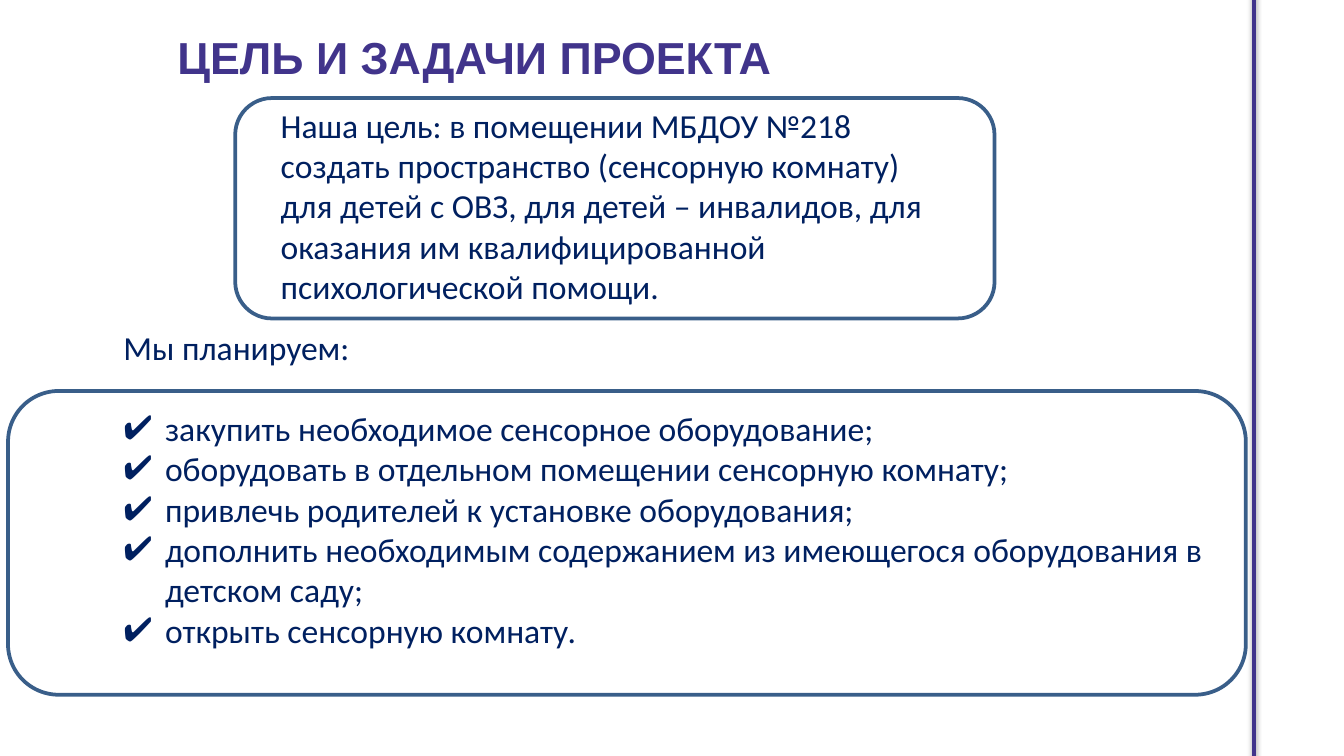
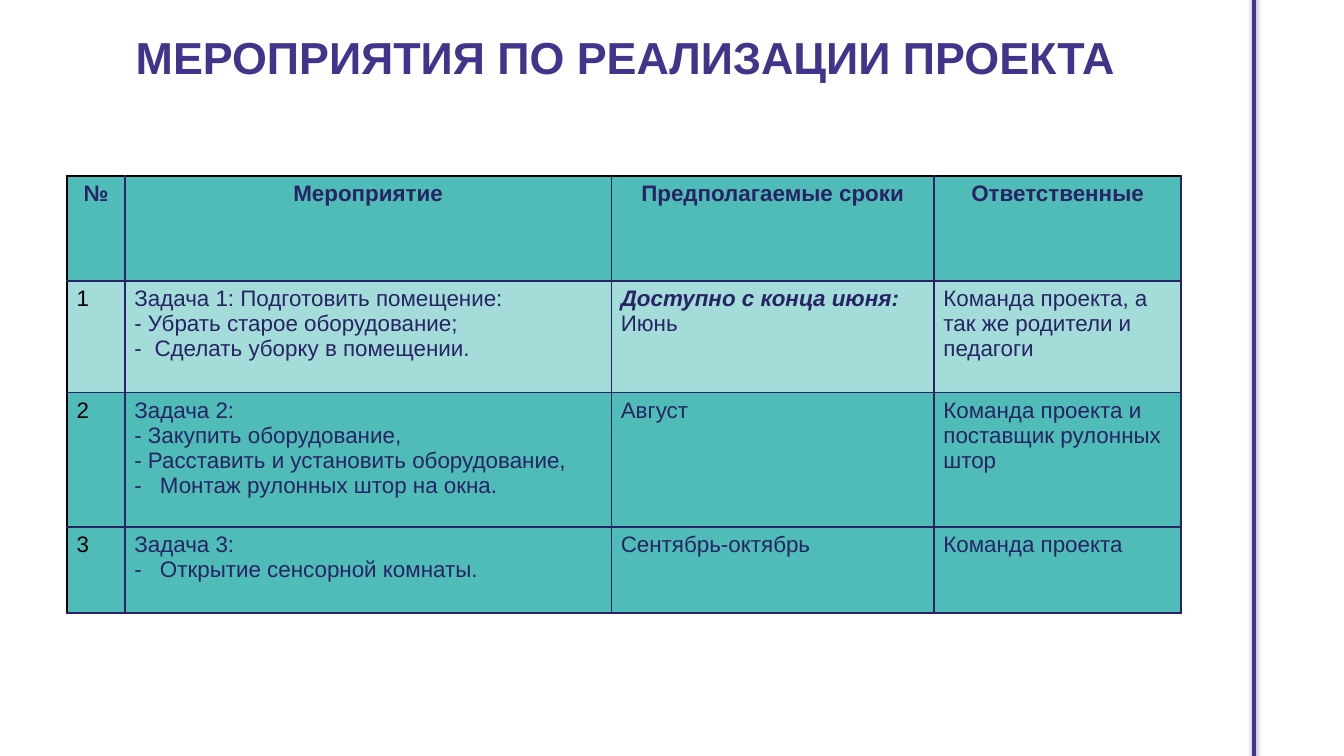
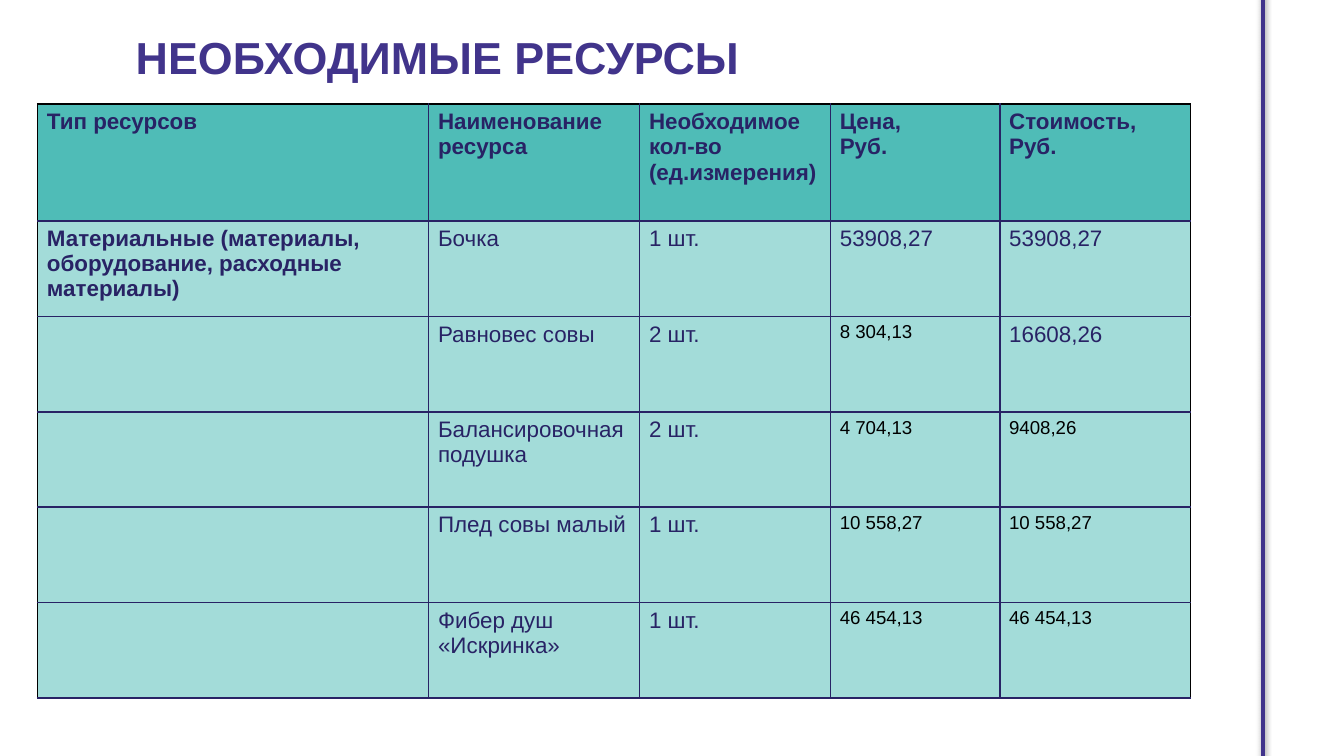
from dataclasses import dataclass

from lxml import etree
from pptx import Presentation
from pptx.dml.color import RGBColor
from pptx.enum.shapes import MSO_CONNECTOR, MSO_SHAPE
from pptx.enum.text import MSO_ANCHOR, MSO_AUTO_SIZE, PP_ALIGN
from pptx.oxml.ns import qn
from pptx.util import Emu, Inches, Pt

STRAIGHT = MSO_CONNECTOR.STRAIGHT
ROUNDED = MSO_SHAPE.ROUNDED_RECTANGLE
TOP = MSO_ANCHOR.TOP
NO_FIT = MSO_AUTO_SIZE.NONE
LEFT, CENTER = PP_ALIGN.LEFT, PP_ALIGN.CENTER

WIDTH, HEIGHT = Inches(10), Inches(5.625)
GRID_COLUMNS = 100
TITLE_ONLY = 5
WHITE, BLACK = "FFFFFF", "000000"
VIOLET, INK, NAVY, FRAME = "41348B", "282365", "002060", "395E89"
TEAL, MINT = "4FBCB7", "A3DCD9"
HEADING_FONT, BODY_FONT = "Arial", "Calibri"


@dataclass(frozen=True)
class Area:
    """A rectangle in grid modules, each a hundredth of the slide's width."""
    left: float
    top: float
    width: float
    height: float

    def emu(self) -> tuple[Emu, ...]:
        """Return the four lengths for python-pptx."""
        return tuple(map(grid, (self.left, self.top, self.width, self.height)))


@dataclass(frozen=True)
class Line:
    """One paragraph with a single text run."""
    text: str
    size: float = 12
    color: str = INK
    bold: bool = False
    italic: bool = False
    font: str = HEADING_FONT
    align: PP_ALIGN = LEFT
    bullet: str = ""
    indent: float = 0
    after: float = 0


@dataclass(frozen=True)
class Grid:
    """A table with its place, track sizes, row fills and cell contents."""
    left: float
    top: float
    columns: tuple[float, ...]
    heights: tuple[float, ...]
    fills: tuple[str, ...]
    rows: list[list[tuple[Line, ...]]]
    right_edge: str


def grid(modules: float) -> Emu:
    """Convert grid modules to a length."""
    return Emu(round(modules * WIDTH / GRID_COLUMNS))


def rgb(value: str) -> RGBColor:
    """Turn a hex string into a colour."""
    return RGBColor.from_string(value)


def add_node(parent, tag: str, **attributes):
    """Append a DrawingML element."""
    return etree.SubElement(parent, qn(tag), attributes)


def add_solid(parent, color: str):
    """Append a solid fill and return its colour element."""
    return add_node(add_node(parent, "a:solidFill"), "a:srgbClr", val=color)


def write_lines(frame, lines: tuple[Line, ...]) -> None:
    """Fill a text frame with paragraphs."""
    for number, line in enumerate(lines):
        paragraph = frame.add_paragraph() if number else frame.paragraphs[0]
        paragraph.alignment = line.align
        if line.after:
            paragraph.space_after = Pt(line.after)
        if line.bullet:
            properties = paragraph._p.get_or_add_pPr()
            properties.set("marL", str(grid(line.indent)))
            properties.set("indent", str(-grid(line.indent)))
            add_node(add_node(properties, "a:buClr"), "a:srgbClr", val=line.color)
            add_node(properties, "a:buFont", typeface=HEADING_FONT)
            add_node(properties, "a:buChar", char=line.bullet)
        run = paragraph.add_run()
        run.text = line.text
        font = run.font
        font.name, font.size = line.font, Pt(line.size)
        font.bold, font.italic = line.bold, line.italic
        font.color.rgb = rgb(line.color)


def add_rail(slide, x: float) -> None:
    """Draw the shadowed vertical line near the right edge."""
    rail = slide.shapes.add_connector(STRAIGHT, grid(x), grid(-1.7), grid(x), grid(57.9))
    rail.line.color.rgb, rail.line.width = rgb(VIOLET), Pt(2)
    effects = add_node(rail._element.spPr, "a:effectLst")
    shadow = add_node(effects, "a:outerShdw", blurRad=str(Pt(3.1)), dist=str(Pt(1.6)),
                      dir="5400000", rotWithShape="0")
    add_node(add_node(shadow, "a:srgbClr", val=BLACK), "a:alpha", val="38000")


def start_slide(deck, heading: str, area: Area, rail_x: float = 93.3):
    """Add a slide with its heading and rail."""
    slide = deck.slides.add_slide(deck.slide_layouts[TITLE_ONLY])
    title = slide.shapes.title
    title.left, title.top, title.width, title.height = area.emu()
    title.fill.solid()
    title.fill.fore_color.rgb = rgb(WHITE)
    frame = title.text_frame
    frame.word_wrap, frame.auto_size, frame.vertical_anchor = True, NO_FIT, TOP
    write_lines(frame, (Line(heading, 24, VIOLET, bold=True),))
    add_rail(slide, rail_x)
    return slide


def add_text(slide, area: Area, lines: tuple[Line, ...]) -> None:
    """Add a wrapped text box."""
    frame = slide.shapes.add_textbox(*area.emu()).text_frame
    frame.word_wrap, frame.vertical_anchor = True, TOP
    write_lines(frame, lines)


def add_frame(slide, area: Area) -> None:
    """Add an unfilled rounded outline."""
    outline = slide.shapes.add_shape(ROUNDED, *area.emu())
    outline.shadow.inherit = False
    outline.fill.background()
    outline.line.color.rgb, outline.line.width = rgb(FRAME), Pt(2)


def set_borders(cell, left: str, right: str, top: str) -> None:
    """Draw the four one-point borders of a cell."""
    properties = cell._tc.get_or_add_tcPr()
    for number, (side, color) in enumerate(zip("LRTB", (left, right, top, INK))):
        border = etree.Element(qn(f"a:ln{side}"), w=str(Pt(1)))
        add_solid(border, color)
        properties.insert(number, border)


def add_grid(slide, plan: Grid) -> None:
    """Build a table from its plan."""
    area = Area(plan.left, plan.top, sum(plan.columns), sum(plan.heights))
    table = slide.shapes.add_table(len(plan.heights), len(plan.columns), *area.emu()).table
    table.first_row = table.horz_banding = False
    for column, width in zip(table.columns, plan.columns):
        column.width = grid(width)
    last = len(plan.columns) - 1
    for r, (height, fill, contents) in enumerate(zip(plan.heights, plan.fills, plan.rows)):
        table.rows[r].height = grid(height)
        for c, lines in enumerate(contents):
            cell = table.cell(r, c)
            cell.margin_left = cell.margin_right = grid(0.7)
            cell.margin_top = cell.margin_bottom = grid(0.4)
            cell.fill.solid()
            cell.fill.fore_color.rgb = rgb(fill)
            set_borders(cell, INK if c else BLACK,
                        plan.right_edge if c == last else INK, INK if r else BLACK)
            write_lines(cell.text_frame, lines)


def plain(*texts: str) -> tuple[Line, ...]:
    """Make ordinary table lines."""
    return tuple(Line(text) for text in texts)


def strong(*texts: str, align: PP_ALIGN = LEFT) -> tuple[Line, ...]:
    """Make bold table lines."""
    return tuple(Line(text, bold=True, align=align) for text in texts)


def index(number: int) -> tuple[Line, ...]:
    """Make the black row number."""
    return (Line(str(number), color=BLACK),)


def small(text: str) -> tuple[Line, ...]:
    """Make a small black amount."""
    return (Line(text, 10, BLACK),)


def dash(text: str, indent: float = 1.9) -> Line:
    """Make a dashed list line."""
    return Line(text, bullet="-", indent=indent)


def body(text: str, **style) -> Line:
    """Make a navy body line."""
    return Line(text, 18, NAVY, font=BODY_FONT, **style)


GOAL = (body("Наша цель: в помещении МБДОУ №218 создать пространство (сенсорную комнату) "
             "для детей с ОВЗ, для детей – инвалидов, для оказания им квалифицированной "
             "психологической помощи."),)
STEPS = (
    "закупить необходимое сенсорное оборудование;",
    "оборудовать в отдельном помещении сенсорную комнату;",
    "привлечь родителей к установке оборудования;",
    "дополнить необходимым содержанием из имеющегося оборудования в детском саду;",
    "открыть сенсорную комнату.",
)
ACTIVITIES = Grid(
    5, 13.1, (4.3, 36.2, 24, 18.4), (7.8, 8.3, 10, 6.4), (TEAL, MINT, TEAL, TEAL),
    [
        [strong(label, align=CENTER)
         for label in ("№", "Мероприятие", "Предполагаемые сроки", "Ответственные")],
        [index(1),
         plain("Задача 1: Подготовить помещение:", "- Убрать старое оборудование;")
         + (dash("Сделать уборку в помещении.", 1.5),),
         (Line("Доступно с конца июня:", bold=True, italic=True), Line("Июнь")),
         plain("Команда проекта, а так же родители и педагоги")],
        [index(2),
         plain("Задача 2:", "- Закупить оборудование,",
               "- Расставить и установить оборудование,")
         + (dash("Монтаж рулонных штор на окна."),),
         plain("Август"), plain("Команда проекта и поставщик рулонных штор")],
        [index(3), plain("Задача 3:") + (dash("Открытие сенсорной комнаты."),),
         plain("Сентябрь-октябрь"), plain("Команда проекта")],
    ],
    INK,
)
RESOURCES = Grid(
    2.8, 7.75, (29.1, 15.7, 14.2, 12.6, 14.2), (8.7,) + (7.1,) * 5, (TEAL,) + (MINT,) * 5,
    [
        [strong("Тип ресурсов"), strong("Наименование ресурса"),
         strong("Необходимое кол-во (ед.измерения)"),
         strong("Цена,", "Руб."), strong("Стоимость,", "Руб.")],
        [strong("Материальные (материалы, оборудование, расходные материалы)"),
         plain("Бочка"), plain("1 шт."), plain("53908,27"), plain("53908,27")],
        [(), plain("Равновес совы"), plain("2 шт."), small("8 304,13"), plain("16608,26")],
        [(), plain("Балансировочная подушка"), plain("2 шт."),
         small("4 704,13"), small("9408,26")],
        [(), plain("Плед совы малый"), plain("1 шт."),
         small("10 558,27"), small("10 558,27")],
        [(), plain("Фибер душ «Искринка»"), plain("1 шт."),
         small("46 454,13"), small("46 454,13")],
    ],
    BLACK,
)


def main() -> None:
    """Build and save the three slides."""
    deck = Presentation()
    deck.slide_width, deck.slide_height = WIDTH, HEIGHT

    goals = start_slide(deck, "ЦЕЛЬ И ЗАДАЧИ ПРОЕКТА", Area(12.2, 1.7, 66.7, 5.6))
    add_text(goals, Area(19.9, 7.3, 51.2, 16.2), GOAL)
    steps = tuple(body(step, bullet="✔", indent=3.1) for step in STEPS)
    add_text(goals, Area(8.2, 23.8, 84.3, 25.2), (body("Мы планируем:", after=22),) + steps)
    add_frame(goals, Area(17.5, 7.3, 56.5, 16.4))
    add_frame(goals, Area(0.6, 29.1, 92.1, 22.6))

    activities = start_slide(deck, "МЕРОПРИЯТИЯ ПО РЕАЛИЗАЦИИ ПРОЕКТА", Area(9.1, 1.7, 81, 5.6))
    add_grid(activities, ACTIVITIES)

    resources = start_slide(deck, "НЕОБХОДИМЫЕ РЕСУРСЫ", Area(9.1, 1.7, 66.7, 5.6), 94)
    add_grid(resources, RESOURCES)

    deck.save("out.pptx")


if __name__ == "__main__":
    main()
